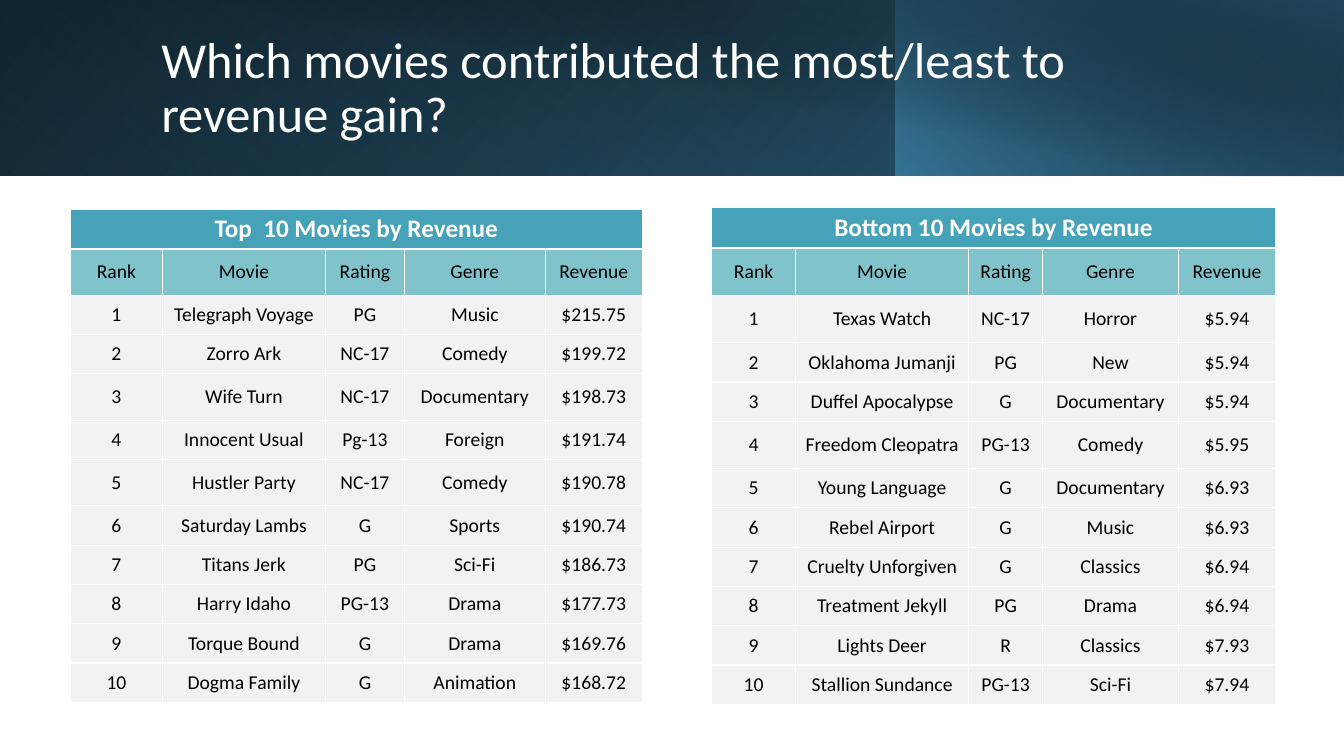
from lxml import etree
from pptx import Presentation
from pptx.dml.color import RGBColor
from pptx.enum import shapes, text
from pptx.oxml import ns
from pptx.util import Inches, Pt

WHITE = RGBColor(0xFF, 0xFF, 0xFF)
BLACK = RGBColor(0x00, 0x00, 0x00)
DEEP_BLUE = RGBColor(0x31, 0x68, 0x86)
BLUE = RGBColor(0x41, 0x8A, 0xB3)
NAVY = RGBColor(0x20, 0x45, 0x5A)
TEAL = RGBColor(0x45, 0xA2, 0xB9)
LIGHT_TEAL = RGBColor(0x81, 0xC3, 0xCB)
PALE_GRAY = RGBColor(0xF2, 0xF2, 0xF2)
FONT = "Calibri"

HEADINGS = ("Rank", "Movie", "Rating", "Genre", "Revenue")
TOP_MOVIES = [
    ("Telegraph Voyage", "PG", "Music", "$215.75"),
    ("Zorro Ark", "NC-17", "Comedy", "$199.72"),
    ("Wife Turn", "NC-17", "Documentary", "$198.73"),
    ("Innocent Usual", "Pg-13", "Foreign", "$191.74"),
    ("Hustler Party", "NC-17", "Comedy", "$190.78"),
    ("Saturday Lambs", "G", "Sports", "$190.74"),
    ("Titans Jerk", "PG", "Sci-Fi", "$186.73"),
    ("Harry Idaho", "PG-13", "Drama", "$177.73"),
    ("Torque Bound", "G", "Drama", "$169.76"),
    ("Dogma Family", "G", "Animation", "$168.72"),
]
BOTTOM_MOVIES = [
    ("Texas Watch", "NC-17", "Horror", "$5.94"),
    ("Oklahoma Jumanji", "PG", "New", "$5.94"),
    ("Duffel Apocalypse", "G", "Documentary", "$5.94"),
    ("Freedom Cleopatra", "PG-13", "Comedy", "$5.95"),
    ("Young Language", "G", "Documentary", "$6.93"),
    ("Rebel Airport", "G", "Music", "$6.93"),
    ("Cruelty Unforgiven", "G", "Classics", "$6.94"),
    ("Treatment Jekyll", "PG", "Drama", "$6.94"),
    ("Lights Deer", "R", "Classics", "$7.93"),
    ("Stallion Sundance", "PG-13", "Sci-Fi", "$7.94"),
]


def add_gradient_panel(page, box, angle, stops, flipped=True, rotation=0):
    panel = page.shapes.add_shape(shapes.MSO_SHAPE.RECTANGLE, *map(Inches, box))
    panel.shadow.inherit = False
    panel.line.fill.background()
    panel.rotation = rotation
    if flipped:
        panel._element.spPr.find(ns.qn("a:xfrm")).set("flipH", "1")
    panel.fill.gradient()
    panel.fill.gradient_angle = 360 - angle
    for stop, (position, color, _) in zip(panel.fill.gradient_stops, stops):
        stop.position = position / 100
        stop.color.rgb = color
    colors = panel._element.spPr.iter(ns.qn("a:srgbClr"))
    for color, (_, _, opacity) in zip(list(colors), stops):
        etree.SubElement(color, ns.qn("a:alpha"), val=str(opacity * 1000))


def add_header(page, box, wording):
    left, top, width, height = box
    split = left + width * 0.666
    add_gradient_panel(page, box, 140, [(0, BLACK, 100), (100, DEEP_BLUE, 100)])
    add_gradient_panel(page, (left, top, split - left, height), 230,
                       [(20, BLUE, 0), (100, NAVY, 55)], rotation=180)
    add_gradient_panel(page, (split, top, left + width - split, height), 220,
                       [(0, BLUE, 66), (100, BLACK, 30)])
    add_gradient_panel(page, (left + 0.5, top, width - 0.5, height + 0.01), 280,
                       [(50, BLACK, 0), (99, NAVY, 52)], flipped=False)

    title = page.shapes.title
    page.shapes._spTree.append(title._element)
    title.left, title.top = Inches(left + 1.5), Inches(top + 0.32)
    title.width, title.height = Inches(10.82), Inches(1.13)
    frame = title.text_frame
    frame.text = wording
    frame.word_wrap = True
    frame.auto_size = text.MSO_AUTO_SIZE.NONE
    frame.vertical_anchor = text.MSO_ANCHOR.MIDDLE
    para = frame.paragraphs[0]
    para.alignment = text.PP_ALIGN.LEFT
    para.line_spacing = 0.9
    para.font.name, para.font.size = FONT, Pt(36)
    para.font.color.rgb = WHITE


def fill_cell(cell, wording, background, color=BLACK, size=14, bold=False):
    cell.fill.solid()
    cell.fill.fore_color.rgb = background
    cell.margin_left = cell.margin_right = Inches(0.05)
    cell.margin_top = cell.margin_bottom = 0
    cell.vertical_anchor = text.MSO_ANCHOR.MIDDLE
    cell.text = wording
    para = cell.text_frame.paragraphs[0]
    para.alignment = text.PP_ALIGN.CENTER
    para.font.name, para.font.size = FONT, Pt(size)
    para.font.bold = bold
    para.font.color.rgb = color


def add_movie_table(page, box, caption, movies, widths, heights):
    table = page.shapes.add_table(len(movies) + 2, len(HEADINGS),
                                  *map(Inches, box)).table
    table.horz_banding = False
    for column, width in zip(table.columns, widths):
        column.width = Inches(width)
    for row, height in zip(table.rows, heights):
        row.height = Inches(height)
    table.cell(0, 0).merge(table.cell(0, len(HEADINGS) - 1))
    fill_cell(table.cell(0, 0), caption, TEAL, WHITE, 18, True)
    ranked = [(str(rank), *movie) for rank, movie in enumerate(movies, 1)]
    for row, values in enumerate([HEADINGS, *ranked], 1):
        background = LIGHT_TEAL if row == 1 else PALE_GRAY
        for column, value in enumerate(values):
            fill_cell(table.cell(row, column), value, background)


def build_movie_slide(deck):
    page = deck.slides.add_slide(deck.slide_layouts[5])
    add_header(page, (0, 0, 13.33, 1.74),
               "Which movies contributed the most/least to revenue gain?")
    add_movie_table(page, (0.7, 2.08, 5.68, 4.94), "Top  10 Movies by Revenue",
                    TOP_MOVIES, (0.91, 1.62, 0.78, 1.4, 0.96),
                    [0.39, 0.46, 0.39, 0.39, 0.46, 0.39, 0.46] + [0.39] * 5)
    add_movie_table(page, (7.06, 2.06, 5.6, 4.95), "Bottom 10 Movies by Revenue",
                    BOTTOM_MOVIES, (0.83, 1.72, 0.73, 1.35, 0.96),
                    [0.4, 0.47, 0.47, 0.39, 0.39, 0.47] + [0.39] * 6)


def main():
    deck = Presentation()
    deck.slide_width, deck.slide_height = Inches(13.33), Inches(7.5)
    build_movie_slide(deck)
    deck.save("out.pptx")


if __name__ == "__main__":
    main()
